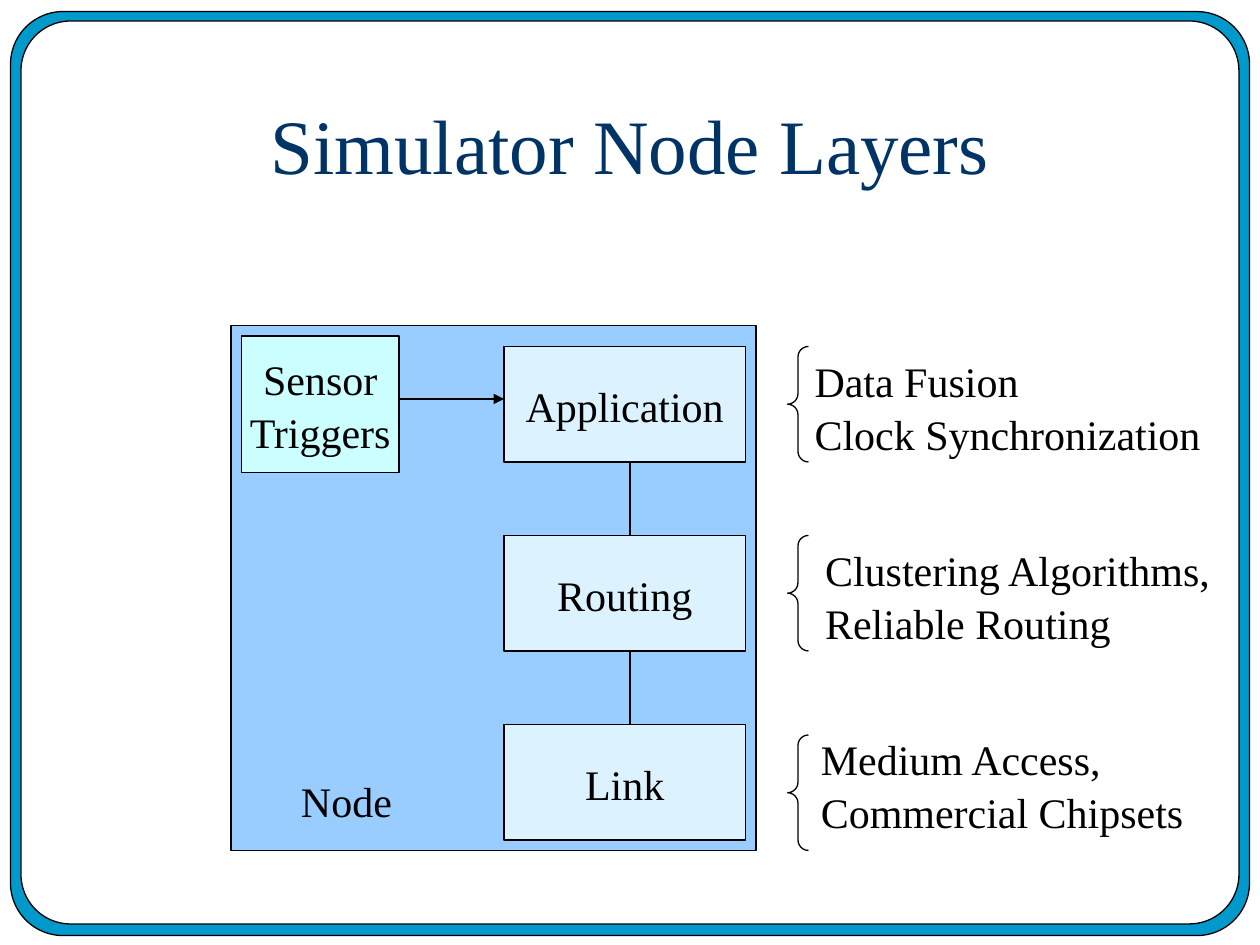
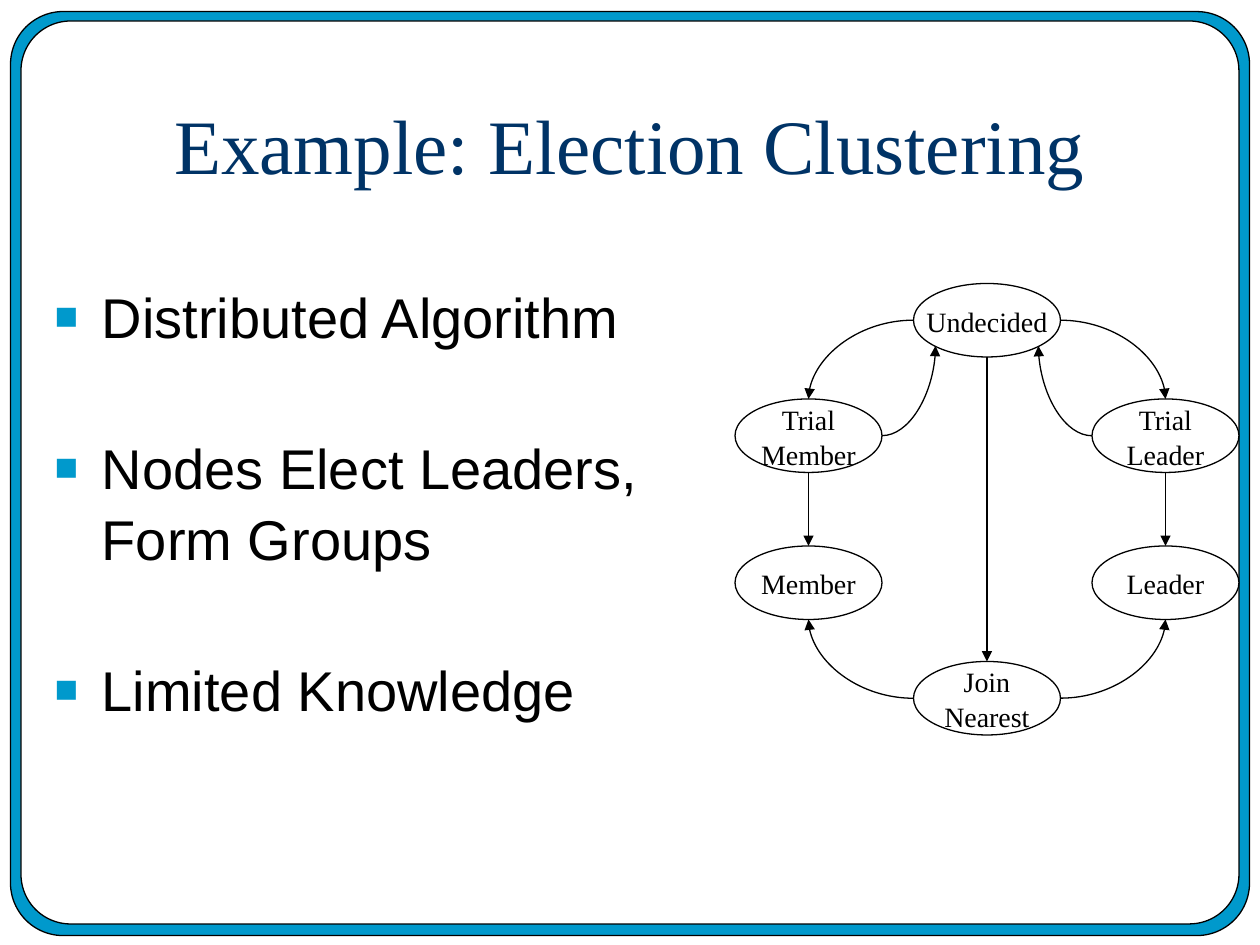
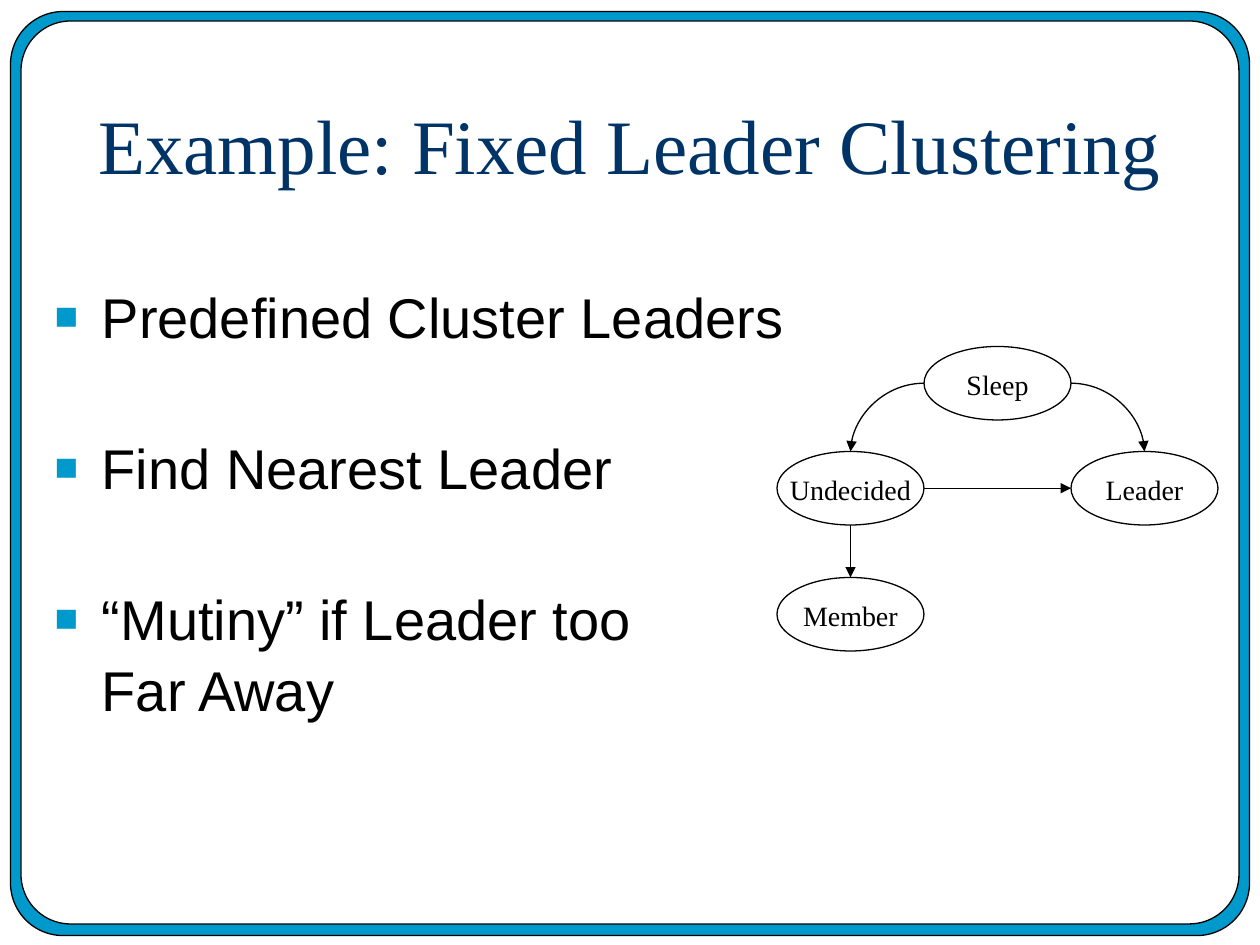
from dataclasses import dataclass

from lxml.etree import SubElement
from pptx import Presentation
from pptx.dml.color import RGBColor
from pptx.enum.shapes import MSO_CONNECTOR as Conn, MSO_SHAPE as Shape
from pptx.enum.text import MSO_ANCHOR as Anchor, MSO_AUTO_SIZE as AutoSize, PP_ALIGN as Align
from pptx.oxml.ns import qn
from pptx.util import Cm, Pt


@dataclass(frozen=True)
class Theme:
    ink: str = "000000"
    paper: str = "FFFFFF"
    accent: str = "0099CC"
    title: str = "003366"
    node: str = "99CCFF"
    layer: str = "DDF2FF"
    sensor: str = "CCFFFF"
    serif: str = "Times New Roman"
    sans: str = "Arial"
    title_size: int = 44
    body_size: int = 32
    label_size: int = 24
    state_size: int = 16
    line_width: float = 0.75
    line_spacing: float = 1.05
    bullet_gap: int = 46


T = Theme()

# Content; all places are in grid units, 12 to the inch
LAYERS_TITLE = "Simulator Node Layers"
LAYERS = [  # layer, remark, left of remark, top of brace
    ("Application", "Data Fusion\nClock Synchronization", 76.4, 33),
    ("Routing", "Clustering Algorithms,\nReliable Routing", 77.4, 51),
    ("Link", "Medium Access,\nCommercial Chipsets", 77, 70),
]
EXAMPLES = [
    {
        "title": "Example: Election Clustering",
        "bullets": ["Distributed Algorithm", "Nodes Elect Leaders, Form Groups",
                    "Limited Knowledge"],
        "body_width": 61.5,
        "states": {
            "Trial\nMember": (70, 38), "Trial\nLeader": (104, 38),
            "Leader": (104, 52), "Member": (70, 52),
            "Undecided": (87, 27), "Join\nNearest": (87, 63),
        },
        "arrows": [
            ("Undecided", "left", "Trial\nMember", "top"),
            ("Trial\nMember", "bottom", "Member", "top"),
            ("Trial\nLeader", "bottom", "Leader", "top"),
            ("Undecided", "right", "Trial\nLeader", "top"),
            ("Trial\nLeader", "left", "Undecided", "low right"),
            ("Trial\nMember", "right", "Undecided", "low left"),
            ("Join\nNearest", "left", "Member", "bottom"),
            ("Join\nNearest", "right", "Leader", "bottom"),
            ("Undecided", "bottom", "Join\nNearest", "top"),
        ],
    },
    {
        "title": "Example: Fixed Leader Clustering",
        "bullets": ["Predefined Cluster Leaders", "Find Nearest Leader",
                    "“Mutiny” if Leader too\vFar Away"],
        "body_width": 83,
        "states": {
            "Sleep": (88, 33), "Leader": (102, 43),
            "Undecided": (74, 43), "Member": (74, 55),
        },
        "arrows": [
            ("Sleep", "left", "Undecided", "top"),
            ("Sleep", "right", "Leader", "top"),
            ("Undecided", "bottom", "Member", "top"),
            ("Undecided", "right", "Leader", "left"),
        ],
    },
]
STATE_SIZE = (14, 7)
SITES = {  # share of a state's width and height
    "left": (0, 0.5), "right": (1, 0.5), "top": (0.5, 0), "bottom": (0.5, 1),
    "low left": (0.15, 0.85), "low right": (0.85, 0.85),
}


# Helpers
def grid(*units):
    return [Cm(n * 2.54 / 12) for n in units]


def place(sp, *box):
    sp.left, sp.top, sp.width, sp.height = grid(*box)


def write(tf, text, size=T.label_size, font=T.serif, color=T.ink, align=Align.LEFT,
          anchor=Anchor.TOP, wrap=True, bullet=False):
    tf.auto_size = AutoSize.NONE
    tf.word_wrap = wrap
    tf.vertical_anchor = anchor
    tf.text = text
    for i, p in enumerate(tf.paragraphs):
        if bullet:
            add_bullet(p)
        p.alignment = align
        p.line_spacing = T.line_spacing
        p.space_before = Pt(T.bullet_gap if bullet and i else 0)
        for r in p.runs:
            r.font.size = Pt(size)
            r.font.name = font
            r.font.bold = False
            r.font.color.rgb = RGBColor.from_string(color)


def add_bullet(p):
    pPr = p._p.get_or_add_pPr()
    pPr.set("marL", str(Cm(0.95)))
    pPr.set("indent", str(-Cm(0.95)))
    SubElement(SubElement(pPr, qn("a:buClr")), qn("a:srgbClr")).set("val", T.accent)
    SubElement(pPr, qn("a:buSzPct")).set("val", "70000")
    SubElement(pPr, qn("a:buChar")).set("char", "■")


def outline(line):
    line.color.rgb = RGBColor.from_string(T.ink)
    line.width = Pt(T.line_width)


def add_box(s, kind, box, fill=None, text="", size=T.label_size):
    sp = s.shapes.add_shape(kind, *grid(*box))
    sp.shadow.inherit = False
    outline(sp.line)
    if fill:
        sp.fill.solid()
        sp.fill.fore_color.rgb = RGBColor.from_string(fill)
    else:
        sp.fill.background()
    if text:
        write(sp.text_frame, text, size=size, align=Align.CENTER,
              anchor=Anchor.MIDDLE, wrap=False)
    return sp


def add_label(s, text, box, align=Align.LEFT):
    write(s.shapes.add_textbox(*grid(*box)).text_frame, text, align=align)


def add_line(s, start, end, arrow=True):
    (x1, y1), (x2, y2) = start, end
    curved = x1 != x2 and y1 != y2
    c = s.shapes.add_connector(Conn.CURVE if curved else Conn.STRAIGHT,
                               *grid(x1, y1, x2, y2))
    outline(c.line)
    spPr = c.element.spPr
    if curved:  # quarter bend: leaves sideways, arrives up or down
        spPr.find(qn("a:prstGeom")).set("prst", "curvedConnector2")
        if x2 < x1:  # a half turn replaces the sideways flip
            xfrm = spPr.find(qn("a:xfrm"))
            xfrm.set("rot", "10800000")
            xfrm.set("flipH", "0")
            xfrm.set("flipV", "1" if y2 > y1 else "0")
    if arrow:
        SubElement(spPr.find(qn("a:ln")), qn("a:tailEnd")).set("type", "triangle")
    SubElement(spPr, qn("a:effectLst"))


def add_slide(prs, layout, title):
    s = prs.slides.add_slide(prs.slide_layouts[layout])
    place(s.shapes.title, 0, 6, 120, 15)
    write(s.shapes.title.text_frame, title, size=T.title_size, color=T.title,
          align=Align.CENTER, anchor=Anchor.MIDDLE)
    return s


def add_frame(prs, s):
    """Draw the double border and move it to the master, behind everything."""
    first = prs.slide_master.placeholders[0].element
    for i, (box, fill, adj) in enumerate([((1, 1.1, 118, 88), T.accent, 0.057),
                                          ((2, 2, 116, 86), T.paper, 0.055)]):
        sp = add_box(s, Shape.ROUNDED_RECTANGLE, box, fill)
        sp.adjustments[0] = adj
        sp.element.nvSpPr.cNvPr.set("id", str(101 + i))
        first.addprevious(sp.element)


# Slides
def layers_slide(prs):
    s = add_slide(prs, 5, LAYERS_TITLE)
    add_frame(prs, s)
    add_box(s, Shape.RECTANGLE, (22, 31, 50, 50), T.node)
    add_box(s, Shape.RECTANGLE, (23, 32, 15, 13), T.sensor, "Sensor\nTriggers")
    add_line(s, (38, 38), (48, 38))
    add_label(s, "Node", (24, 73, 18, 6), align=Align.CENTER)
    top, height, step = 33, 11, 18
    for i, (layer, remark, left, brace_top) in enumerate(LAYERS):
        y = top + i * step
        add_box(s, Shape.RECTANGLE, (48, y, 23, height), T.layer, layer)
        add_label(s, remark, (left, y, 40.6, 10.8))
        brace = add_box(s, Shape.LEFT_BRACE, (75, brace_top, 2, height))
        brace.adjustments[0] = 0.5
        if i:
            add_line(s, (60, y - step + height), (60, y), arrow=False)


def example_slide(prs, ex):
    s = add_slide(prs, 1, ex["title"])
    body = s.placeholders[1]
    place(body, 4, 26, ex["body_width"], 54)
    write(body.text_frame, "\n".join(ex["bullets"]), size=T.body_size, font=T.sans,
          bullet=True)
    w, h = STATE_SIZE
    for name, (x, y) in ex["states"].items():
        add_box(s, Shape.OVAL, (x, y, w, h), T.paper, name, size=T.state_size)

    def site(name, side):
        (x, y), (fx, fy) = ex["states"][name], SITES[side]
        return x + fx * w, y + fy * h

    for source, out, target, into in ex["arrows"]:
        add_line(s, site(source, out), site(target, into))


def main():
    prs = Presentation()
    prs.slide_width, prs.slide_height = Cm(25.4), Cm(19.05)
    layers_slide(prs)
    for ex in EXAMPLES:
        example_slide(prs, ex)
    prs.save("out.pptx")


if __name__ == "__main__":
    main()
